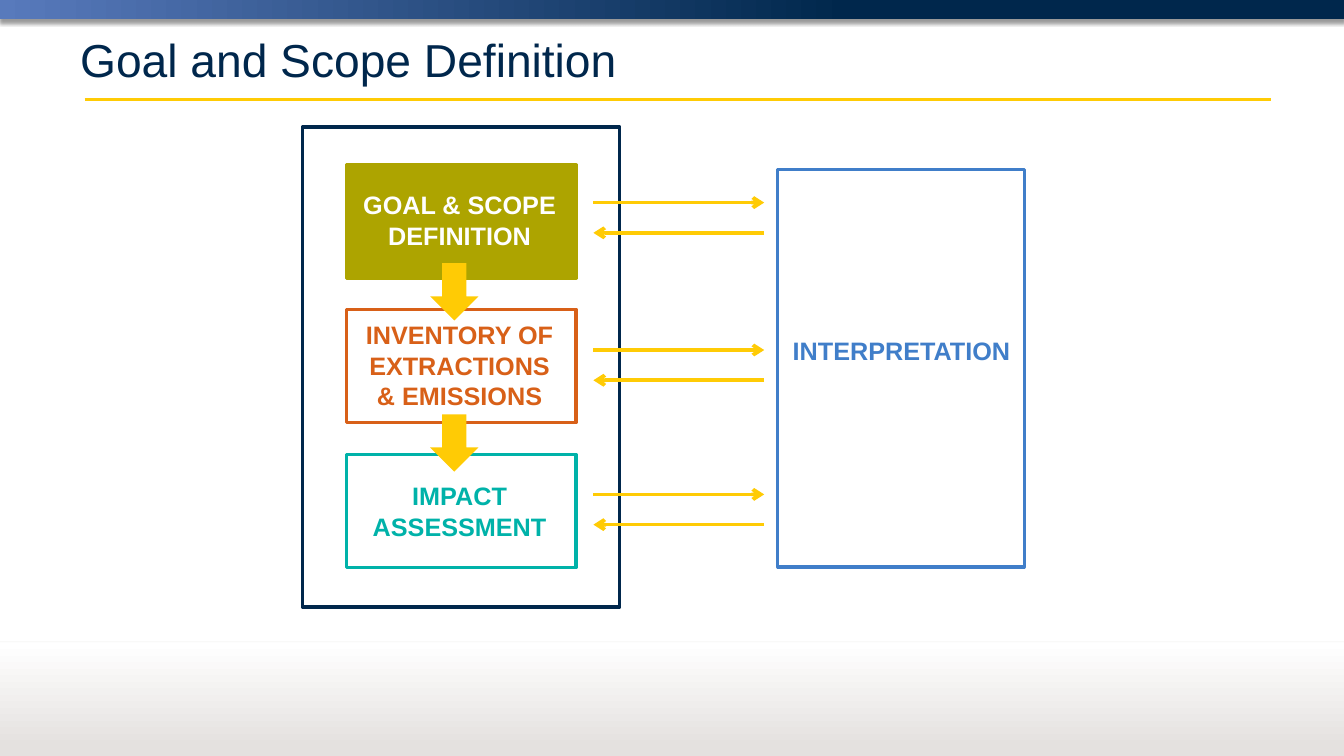
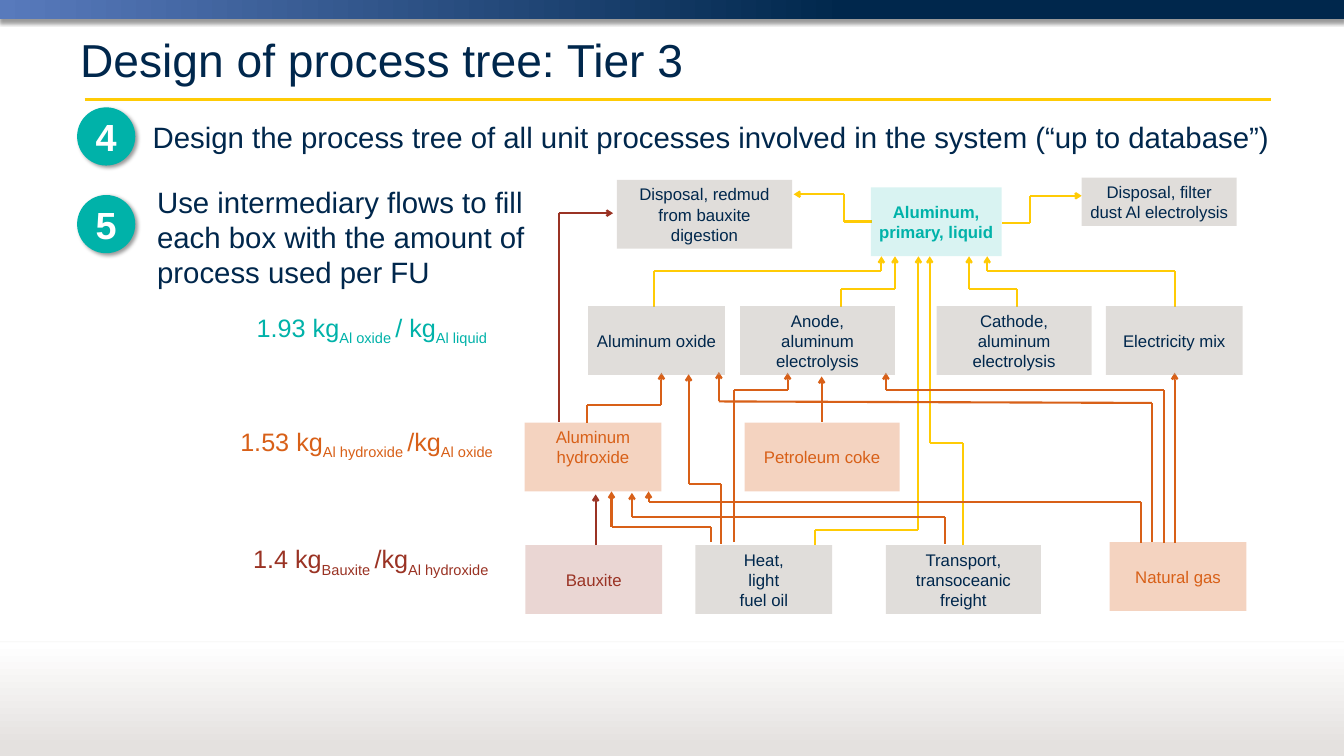
from itertools import pairwise
from lxml import etree
from pptx import Presentation, util as u
from pptx.dml.color import RGBColor
from pptx.enum import shapes, text
from pptx.oxml.ns import qn

PX = 9144  # EMU per px, 100 px to the inch
WIDE, HIGH = 1778, 1000
FONT = "Arial"
HUE = dict(navy="00274C", blue="587ABC", maize="FFCB05", stone="E4E1DF",
           white="FFFFFF", black="000000", sky="407EC9", olive="ADA400",
           teal="00B2A9", rust="D86018", grey="B0A8A2", brick="9A3324")
KIND = shapes.MSO_SHAPE
LEFT, MID = text.PP_ALIGN.LEFT, text.PP_ALIGN.CENTER
TOP, HALF = text.MSO_ANCHOR.TOP, text.MSO_ANCHOR.MIDDLE

# Slide 1: phases (label, hue, box top, text top, text height, solid)
PHASES = [
    ("GOAL & SCOPE\nDEFINITION", "olive", 218, 246, 91, True),
    ("INVENTORY OF\nEXTRACTIONS\n& EMISSIONS", "rust", 409, 418, 131, False),
    ("IMPACT\nASSESSMENT", "teal", 601, 631, 91, False),
]
SWAPS = [268, 463, 654]  # top of each pair of arrows
STEPS = [348, 548]       # top of each block arrow

# Slide 2: steps (number, top of disc, text, text area)
TASKS = [
    ("4", 142, "Design the process tree of all unit processes involved in the "
     "system (“up to database”)", (192, 152, 1574, 57)),
    ("5", 258, "Use intermediary flows to fill each box with the amount of "
     "process used per FU", (198, 238, 527, 151)),
]
# Flow rates: every second part is a subscript
RATES = [
    (("1.93 kg", "Al oxide ", "/ kg", "Al liquid"), "teal", (299, 408, 386, 50), MID),
    (("1.53 kg", "Al hydroxide ", "/kg", "Al oxide"), "rust", (308, 559, 385, 50), LEFT),
    (("1.4 kg", "Bauxite ", "/kg", "Al hydroxide"), "brick", (325, 714, 361, 50), LEFT),
]
# Box looks: fill, percent opaque, text hue, bold
LOOKS = {
    "plain": ("grey", 39, "navy", False),
    "main": ("teal", 15, "teal", True),
    "second": ("rust", 27, "rust", False),
    "third": ("brick", 20, "brick", False),
}
SMALL, LARGE = 181, 205  # box widths
# Processes: label, look, left, top, width, height
BOXES = [
    ("Disposal, redmud from bauxite digestion", "plain", 816, 238, 232, 91),
    ("Aluminum, primary, liquid", "main", 1152, 248, 173, 91),
    ("Disposal, filter dust Al electrolysis", "plain", 1431, 235, LARGE, 64),
    ("Aluminum oxide", "plain", 778, 405, SMALL, 91),
    ("Anode,\naluminum electrolysis", "plain", 979, 405, LARGE, 91),
    ("Cathode, aluminum electrolysis", "plain", 1239, 405, LARGE, 91),
    ("Electricity mix", "plain", 1463, 405, SMALL, 91),
    ("Aluminum\nhydroxide", "second", 694, 559, SMALL, 91),
    ("Petroleum coke", "second", 985, 559, LARGE, 91),
    ("Bauxite", "third", 695, 721, SMALL, 91),
    ("Heat,\nlight\nfuel oil", "plain", 920, 721, SMALL, 91),
    ("Transport, transoceanic freight", "plain", 1172, 721, LARGE, 91),
    ("Natural gas", "second", 1468, 717, SMALL, 91),
]
# Flows: the points of each route, arrow at the last
FLOWS = {
    "maize": [
        [(1554, 406), (1554, 358), (1306, 358), (1306, 339)],
        [(1345, 406), (1345, 382), (1282, 382), (1282, 339)],
        [(865, 406), (865, 358), (1166, 358), (1166, 339)],
        [(1113, 406), (1113, 382), (1184, 382), (1184, 339)],
        [(1274, 721), (1274, 586), (1230, 586), (1230, 339)],
        [(1078, 721), (1078, 701), (1215, 701), (1215, 339)],
        [(1326, 295), (1363, 295), (1363, 259), (1431, 259)],
        [(1153, 293), (1117, 293), (1117, 257), (1050, 257)],
    ],
    "rust": [
        [(1087, 558), (1087, 498)],
        [(777, 559), (777, 536), (875, 536), (875, 493)],
        [(941, 717), (941, 697), (809, 697), (809, 650)],
        [(954, 719), (954, 640), (911, 640), (911, 495)],
        [(971, 717), (971, 516), (1042, 516), (1042, 493)],
        [(1250, 719), (1250, 684), (836, 684), (836, 652)],
        [(1509, 718), (1509, 664), (858, 664), (858, 650)],
        [(1554, 718), (1554, 493)],
        [(1540, 718), (1540, 516), (1172, 516), (1172, 493)],
        [(1524, 717), (1524, 533), (951, 531), (951, 492)],
    ],
    "brick": [
        [(788, 721), (788, 654)],
        [(739, 558), (739, 282), (811, 282)],
    ],
}


def rgb(hue):
    return RGBColor.from_string(HUE[hue])


def sub(node, tag, **attrs):
    return etree.SubElement(node, qn(tag), {k: str(v) for k, v in attrs.items()})


def fade(fill, share):
    """Make a solid fill or line share percent opaque."""
    tone = next(fill.iter(qn("a:srgbClr")))
    sub(tone, "a:alpha", val=share * 1000)


def shade(item, share, blur, dist, turn):
    """Give an item an outer shadow."""
    props = item._element.spPr
    for old in props.findall(qn("a:effectLst")):
        props.remove(old)
    cast = sub(sub(props, "a:effectLst"), "a:outerShdw", blurRad=int(blur * 12700),
               dist=int(dist * 12700), dir=turn * 60000, rotWithShape=0)
    tone = sub(cast, "a:srgbClr", val=HUE["black"])
    sub(tone, "a:alpha", val=share * 1000)


def shape(page, kind, area, fill=None, edge=None):
    item = page.shapes.add_shape(kind, *(n * PX for n in area))
    item.shadow.inherit = False
    if fill:
        item.fill.solid()
        item.fill.fore_color.rgb = rgb(fill)
    else:
        item.fill.background()
    if edge:
        item.line.color.rgb = rgb(edge)
        item.line.width = u.Pt(3)
    else:
        item.line.fill.background()
    return item


def blend(item, stops, turn):
    item.fill.gradient()
    item.fill.gradient_angle = turn
    for stop, (place, hue) in zip(item.fill.gradient_stops, stops):
        stop.position = place
        stop.color.rgb = rgb(hue)


def line(page, start, end, hue, width, arrow=False):
    item = page.shapes.add_connector(shapes.MSO_CONNECTOR.STRAIGHT,
                                     *(n * PX for n in start + end))
    item.line.color.rgb = rgb(hue)
    item.line.width = u.Pt(width)
    if arrow:
        sub(item.line._get_or_add_ln(), "a:tailEnd", type="arrow")
    sub(item._element.spPr, "a:effectLst")
    return item


def route(page, points, hue):
    legs = list(pairwise(points))
    for leg in legs:
        line(page, *leg, hue, 2, arrow=leg is legs[-1])


def write(item, words, size, hue, bold=False, align=MID, anchor=HALF):
    """Put words in an item; a tuple alternates normal and subscript."""
    frame = item.text_frame
    frame.word_wrap = True
    frame.vertical_anchor = anchor
    para = frame.paragraphs[0]
    if isinstance(words, str):
        para.text = words
    else:
        for n, part in enumerate(words):
            run = para.add_run()
            run.text = part
            if n % 2:
                run._r.get_or_add_rPr().set("baseline", "-25000")
    para.alignment = align
    font = para.font
    font.name, font.size, font.bold = FONT, u.Pt(size), bold
    font.color.rgb = rgb(hue)


def label(page, area, words, size, hue, bold=False, align=LEFT):
    item = page.shapes.add_textbox(*(n * PX for n in area))
    write(item, words, size, hue, bold, align, TOP)


def start(deck, head):
    """Add a slide with bands, rules and title."""
    page = deck.slides.add_slide(deck.slide_layouts[5])
    band = shape(page, KIND.RECTANGLE, (0, 0, WIDE, 25), "navy")
    blend(band, [(0, "blue"), (0.63, "navy")], 0)
    shade(band, 40, 4, 3, 90)
    line(page, (112, 132), (1681, 132), "maize", 3)
    foot = shape(page, KIND.RECTANGLE, (0, 850, WIDE, 150), "stone")
    blend(foot, [(0.08, "stone"), (1, "white")], 90)
    rule = line(page, (0, 849), (WIDE, 849), "stone", 0.75)
    fade(rule.line._get_or_add_ln(), 30)
    shade(rule, 38, 3.1, 1.6, 90)
    title = page.shapes.title
    title.left, title.top, title.width, title.height = (
        n * PX for n in (96, 30, 1600, 95))
    write(title, head, 44, "navy", align=LEFT)
    title.text_frame.auto_size = text.MSO_AUTO_SIZE.NONE
    return page


def scope(deck):
    page = start(deck, "Goal and Scope Definition")
    # Frames
    shape(page, KIND.RECTANGLE, (1029, 224, 326, 526), edge="sky")
    shape(page, KIND.RECTANGLE, (400, 168, 420, 635), edge="navy")
    label(page, (1030, 439, 325, 50), "INTERPRETATION", 24, "sky", True, MID)
    # Phases
    for words, hue, top, high, tall, solid in PHASES:
        shape(page, KIND.RECTANGLE, (458, top, 304, 150), hue if solid else None, hue)
        label(page, (458, high, 300, tall), words, 24,
              "white" if solid else hue, True, MID)
    # Arrows
    for top in SWAPS:
        line(page, (785, top), (1011, top), "maize", 3.5, True)
        line(page, (1011, top + 40), (785, top + 40), "maize", 3.5, True)
    for top in STEPS:
        shape(page, KIND.DOWN_ARROW, (569, top, 64, 76), "maize")


def tree(deck):
    page = start(deck, "Design of process tree: Tier 3")
    # Flows and processes
    for hue, routes in FLOWS.items():
        for points in routes:
            route(page, points, hue)
    for words, look, *area in BOXES:
        fill, share, hue, bold = LOOKS[look]
        box = shape(page, KIND.RECTANGLE, area, fill)
        fade(box._element.spPr, share)
        write(box, words, 16, hue, bold,
              anchor=TOP if words == "Aluminum\nhydroxide" else HALF)
    # Flow rates
    for words, hue, area, align in RATES:
        label(page, area, words, 24, hue, align=align)
    # Numbered steps
    for number, top, words, area in TASKS:
        label(page, area, words, 28, "navy")
        disc = shape(page, KIND.OVAL, (102, top, 77, 77), "teal")
        shade(disc, 40, 4, 3, 45)
        write(disc, number, 36, "white", True)
        frame = disc.text_frame
        frame.margin_left = frame.margin_right = 0
        frame.margin_top = frame.margin_bottom = 0


def main():
    deck = Presentation()
    deck.slide_width, deck.slide_height = WIDE * PX, HIGH * PX
    scope(deck)
    tree(deck)
    deck.save("out.pptx")


if __name__ == "__main__":
    main()
